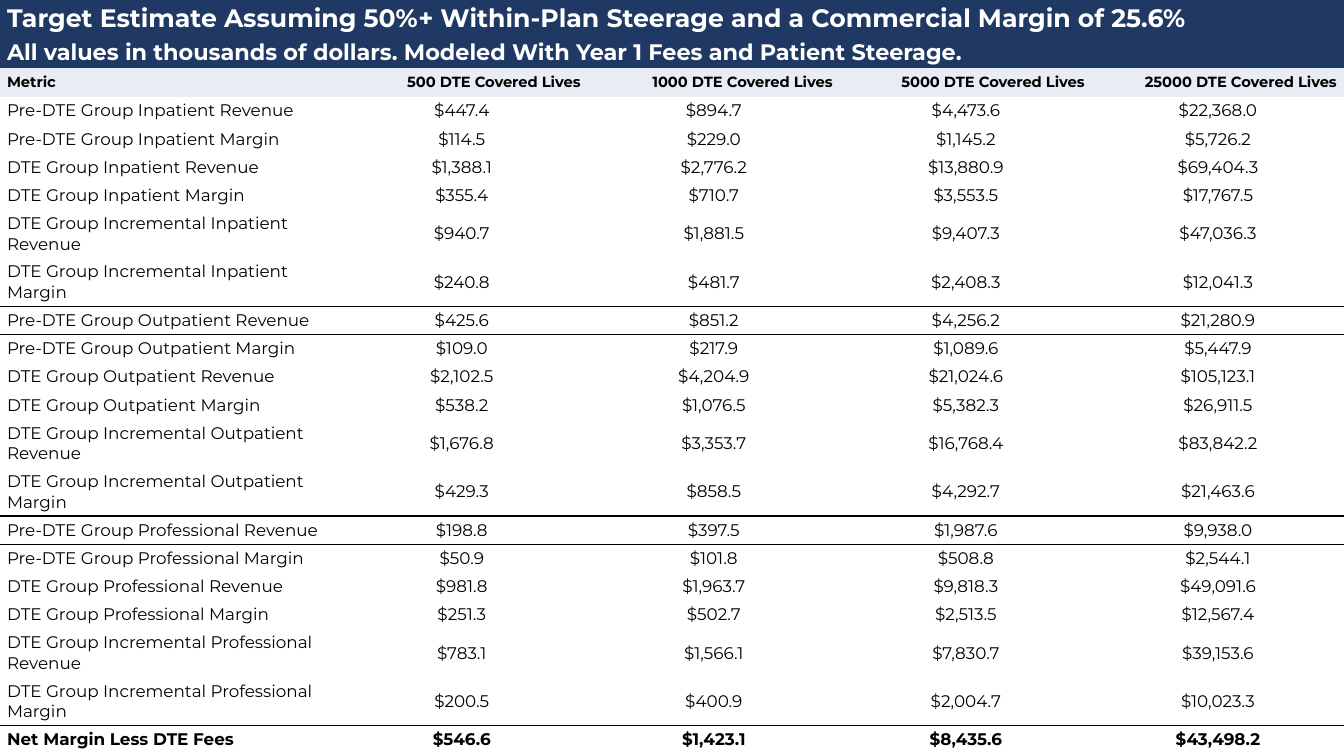
from lxml.etree import SubElement
from pptx import Presentation
from pptx.dml.color import RGBColor
from pptx.enum.text import MSO_ANCHOR as Anchor, PP_ALIGN as Align
from pptx.oxml.ns import qn
from pptx.util import Inches, Pt

NAVY = RGBColor(0x20, 0x38, 0x64)
PALE = RGBColor(0xE7, 0xEC, 0xF5)
WHITE = RGBColor(0xFF, 0xFF, 0xFF)
BLACK = RGBColor(0, 0, 0)

NO_GRID_STYLE = "{2D5ABB26-0587-4C30-8999-92F81FD0307C}"
COLUMN_WIDTHS = [3.33] + [2.5] * 4
SINGLE_LINE, DOUBLE_LINE = 0.28, 0.48

BANNERS = [
    ("Target Estimate Assuming 50%+ Within-Plan Steerage and a Commercial Margin of 25.6%", 18, 0.36),
    ("All values in thousands of dollars. Modeled With Year 1 Fees and Patient Steerage.", 16, 0.32),
]
COVERED_LIVES = [500, 1000, 5000, 25000]
STAGES = ["Pre-DTE Group", "DTE Group", "DTE Group Incremental"]
MEASURES = ["Revenue", "Margin"]
CARE_VALUES = {
    "Inpatient": [
        (447.4, 894.7, 4473.6, 22368.0),
        (114.5, 229.0, 1145.2, 5726.2),
        (1388.1, 2776.2, 13880.9, 69404.3),
        (355.4, 710.7, 3553.5, 17767.5),
        (940.7, 1881.5, 9407.3, 47036.3),
        (240.8, 481.7, 2408.3, 12041.3),
    ],
    "Outpatient": [
        (425.6, 851.2, 4256.2, 21280.9),
        (109.0, 217.9, 1089.6, 5447.9),
        (2102.5, 4204.9, 21024.6, 105123.1),
        (538.2, 1076.5, 5382.3, 26911.5),
        (1676.8, 3353.7, 16768.4, 83842.2),
        (429.3, 858.5, 4292.7, 21463.6),
    ],
    "Professional": [
        (198.8, 397.5, 1987.6, 9938.0),
        (50.9, 101.8, 508.8, 2544.1),
        (981.8, 1963.7, 9818.3, 49091.6),
        (251.3, 502.7, 2513.5, 12567.4),
        (783.1, 1566.1, 7830.7, 39153.6),
        (200.5, 400.9, 2004.7, 10023.3),
    ],
}
NET_MARGIN = (546.6, 1423.1, 8435.6, 43498.2)


class TablePage:
    font_name = "Montserrat"
    indent = Inches(0.07)

    def __init__(self, deck):
        self.page = deck.slides.add_slide(deck.slide_layouts[6])

    def add_table(self, row_heights, column_widths):
        frame = self.page.shapes.add_table(
            len(row_heights), len(column_widths), Inches(0), Inches(0),
            Inches(sum(column_widths)), Inches(sum(row_heights)))
        self.table = frame.table
        self.table.first_row = self.table.horz_banding = False
        self.table._tbl.tblPr.find(qn("a:tableStyleId")).text = NO_GRID_STYLE
        for row, height in zip(self.table.rows, row_heights):
            row.height = Inches(height)
        for column, width in zip(self.table.columns, column_widths):
            column.width = Inches(width)

    def border(self, cell, side):
        line = SubElement(cell._tc.get_or_add_tcPr(), qn(f"a:{side}"), w=str(Pt(1)))
        color = SubElement(SubElement(line, qn("a:solidFill")), qn("a:srgbClr"))
        color.set("val", str(BLACK))

    def cell(self, row, column, text, size=12, bold=False, color=BLACK,
             align=Align.LEFT, fill=None, borders=()):
        cell = self.table.cell(row, column)
        cell.margin_left = cell.margin_right = cell.margin_top = cell.margin_bottom = 0
        cell.vertical_anchor = Anchor.MIDDLE
        for side in borders:
            self.border(cell, side)
        if fill is None:
            cell.fill.background()
        else:
            cell.fill.solid()
            cell.fill.fore_color.rgb = fill
        cell.text_frame.text = text
        para = cell.text_frame.paragraphs[0]
        para.alignment = align
        for side in ("marL", "marR"):
            para._p.get_or_add_pPr().set(side, str(self.indent))
        for span in para.runs:
            span.font.name = self.font_name
            span.font.size = Pt(size)
            span.font.bold = bold
            span.font.color.rgb = color

    def banner(self, row, text, size):
        last = len(self.table.columns) - 1
        self.table.cell(row, 0).merge(self.table.cell(row, last))
        self.cell(row, 0, text, size, True, WHITE, fill=NAVY)

    def header(self, row, labels):
        for column, label in enumerate(labels):
            align = Align.RIGHT if column else Align.LEFT
            self.cell(row, column, label, 10.5, True, align=align, fill=PALE)

    def values(self, row, label, amounts, bold=False, borders=()):
        self.cell(row, 0, label, bold=bold, borders=borders)
        for column, amount in enumerate(amounts, 1):
            self.cell(row, column, f"${amount:,.1f}", bold=bold,
                      align=Align.CENTER, borders=borders)


def main():
    deck = Presentation()
    deck.slide_width, deck.slide_height = Inches(13.33), Inches(7.5)

    metrics = []
    for care, rows in CARE_VALUES.items():
        labels = [f"{stage} {care} {measure}" for stage in STAGES for measure in MEASURES]
        metrics += zip(labels, rows)
    metrics.append(("Net Margin Less DTE Fees", NET_MARGIN))

    heights = [height for _, _, height in BANNERS] + [SINGLE_LINE]
    heights += [DOUBLE_LINE if "Incremental" in label else SINGLE_LINE for label, _ in metrics]

    page = TablePage(deck)
    page.add_table(heights, COLUMN_WIDTHS)
    for row, (text, size, _) in enumerate(BANNERS):
        page.banner(row, text, size)
    header_row = len(BANNERS)
    page.header(header_row, ["Metric"] + [f"{lives} DTE Covered Lives" for lives in COVERED_LIVES])

    group_size = len(STAGES) * len(MEASURES)
    for index, (label, amounts) in enumerate(metrics):
        borders = []
        if index and index % group_size == 0:
            borders.append("lnT")
        if index % group_size == group_size - 1:
            borders.append("lnB")
        page.values(header_row + 1 + index, label, amounts,
                    bold=amounts is NET_MARGIN, borders=borders)

    deck.save("out.pptx")


if __name__ == "__main__":
    main()
